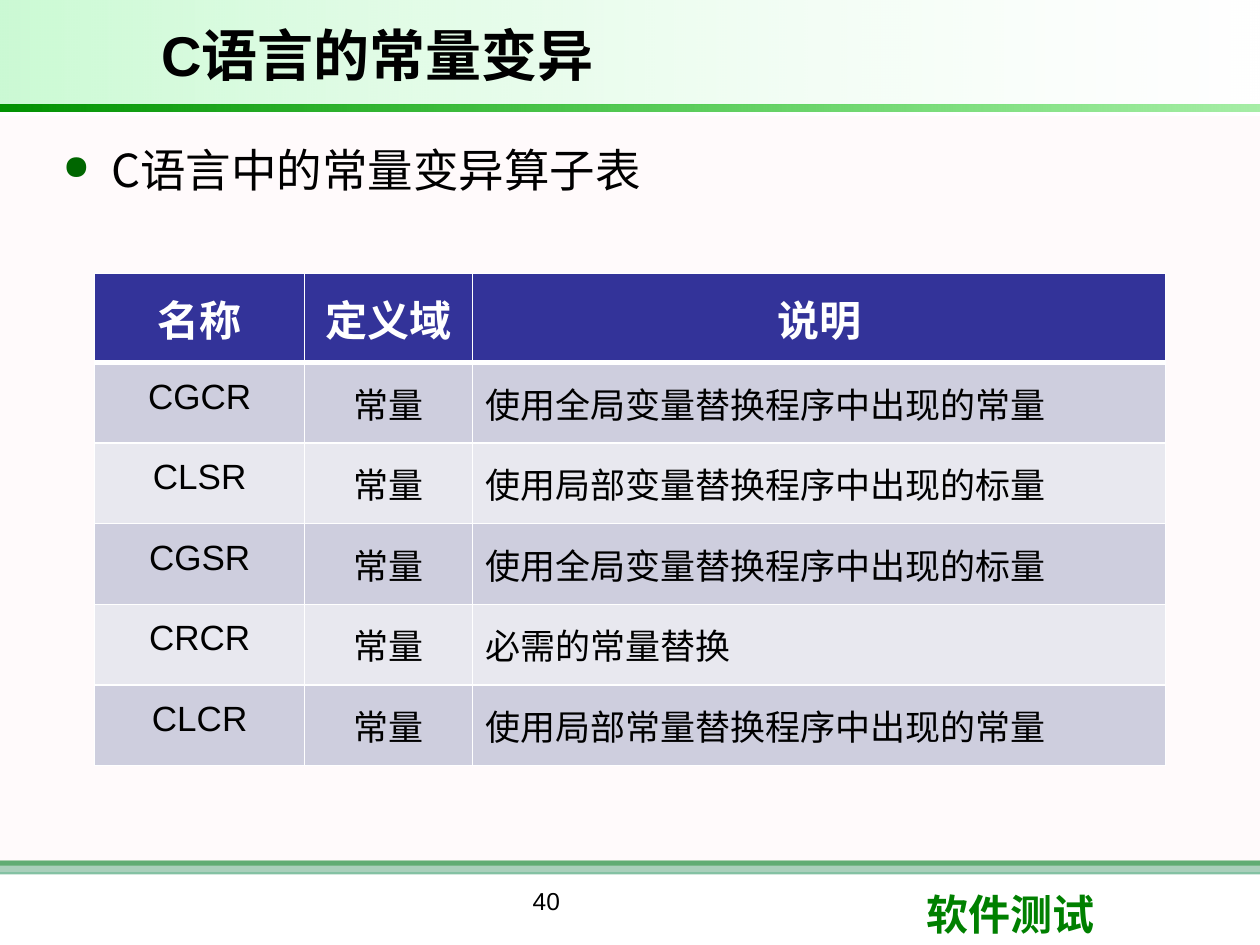
from dataclasses import dataclass

from lxml.etree import SubElement
from pptx import Presentation
from pptx.dml.color import RGBColor
from pptx.enum.shapes import MSO_SHAPE
from pptx.enum.text import MSO_ANCHOR, PP_ALIGN
from pptx.oxml.ns import qn
from pptx.util import Cm, Pt


@dataclass(frozen=True)
class Theme:
    latin: str = "Arial"
    cjk: str = "Noto Sans CJK SC"
    brand_font: str = "Calibri"
    black: str = "000000"
    white: str = "FFFFFF"
    pink: str = "FFF0F5"
    green: str = "008000"
    sea_green: str = "339966"
    bright_green: str = "09E733"
    rule_dark: str = "009200"
    rule_light: str = "00CC00"
    bullet: str = "006600"
    head_fill: str = "333399"
    bands: tuple = ("CECEDE", "E8E8EF")
    title_size: int = 32
    body_size: int = 26
    head_size: int = 24
    cell_size: int = 20
    number_size: int = 14


@dataclass(frozen=True)
class Box:
    """A region of the slide, in centimetres."""
    x: float
    y: float
    w: float
    h: float

    def inner(self, dx, dy, w, h):
        return Box(self.x + dx, self.y + dy, w, h)

    def emu(self):
        return Cm(self.x), Cm(self.y), Cm(self.w), Cm(self.h)


T = Theme()
HEADERS = ("名称", "定义域", "说明")
OPERATORS = (
    ("CGCR", "常量", "使用全局变量替换程序中出现的常量"),
    ("CLSR", "常量", "使用局部变量替换程序中出现的标量"),
    ("CGSR", "常量", "使用全局变量替换程序中出现的标量"),
    ("CRCR", "常量", "必需的常量替换"),
    ("CLCR", "常量", "使用局部常量替换程序中出现的常量"),
)


def set_alpha(color_parent, percent):
    for clr in color_parent.iter(qn("a:srgbClr")):
        SubElement(clr, qn("a:alpha"), val=str(percent * 1000))


def add_band(slide, box, *stops):
    """Rectangle with one (colour, opacity) stop, or a left-to-right gradient of two."""
    sp = slide.shapes.add_shape(MSO_SHAPE.RECTANGLE, *box.emu())
    sp.shadow.inherit = False
    sp.line.fill.background()
    if len(stops) == 1:
        sp.fill.solid()
        sp.fill.fore_color.rgb = RGBColor.from_string(stops[0][0])
        set_alpha(sp._element.spPr.find(qn("a:solidFill")), stops[0][1])
        return
    sp.fill.gradient()
    sp.fill.gradient_angle = 0
    for i, (stop, (color, opacity)) in enumerate(zip(sp.fill.gradient_stops, stops)):
        stop.position = i
        stop.color.rgb = RGBColor.from_string(color)
        set_alpha(stop._gs, opacity)


def write(tf, text, *, size, color=T.black, font=T.latin, bold=False,
          align=PP_ALIGN.LEFT, after=0, bullet=False):
    p = tf.paragraphs[0]
    if bullet:
        pPr = p._p.get_or_add_pPr()
        pPr.set("marL", str(Cm(1)))
        pPr.set("indent", str(-Cm(0.97)))
        SubElement(SubElement(pPr, qn("a:buClr")), qn("a:srgbClr"), val=T.bullet)
        SubElement(pPr, qn("a:buSzPct"), val="75000")
        SubElement(pPr, qn("a:buChar"), char="●")
    p.alignment = align
    p.space_after = Pt(after)
    r = p.add_run()
    r.text = text
    r.font.size = Pt(size)
    r.font.bold = bold
    r.font.name = font
    r.font.color.rgb = RGBColor.from_string(color)
    SubElement(r._r.get_or_add_rPr(), qn("a:ea"), typeface=T.cjk)


def add_text(slide, box, text, anchor=MSO_ANCHOR.TOP, **fmt):
    tf = slide.shapes.add_textbox(*box.emu()).text_frame
    tf.word_wrap = True
    tf.vertical_anchor = anchor
    write(tf, text, **fmt)


def add_borders(cell, **widths):
    tcPr = cell._tc.get_or_add_tcPr()
    for side in "LRTB":
        ln = SubElement(tcPr, qn(f"a:ln{side}"), w=str(Pt(widths.get(side, 1))))
        SubElement(SubElement(ln, qn("a:solidFill")), qn("a:srgbClr"), val=T.white)


def draw_backdrop(slide, box):
    add_band(slide, box, (T.pink, 30))


def draw_header(slide, box):
    add_band(slide, box.inner(0, 0, box.w, 2.11), (T.bright_green, 21), (T.white, 10))
    add_band(slide, box.inner(0, 2.11, box.w, 0.13), (T.rule_dark, 100), (T.rule_light, 35))
    add_text(slide, box.inner(3, 0.2, 17.7, 1.8), "C语言的常量变异",
             anchor=MSO_ANCHOR.MIDDLE, size=T.title_size, bold=True)


def draw_footer_rules(slide, box):
    add_band(slide, box.inner(0, 0, box.w, 0.1), (T.green, 100))
    add_band(slide, box.inner(0, 0, box.w, 0.28), (T.sea_green, 60))


def draw_footer_text(slide, box):
    add_text(slide, box.inner(6.99, 0.38, 8.05, 1.32), "40",
             size=T.number_size, align=PP_ALIGN.CENTER)
    add_text(slide, box.inner(18.42, 0.43, 6.02, 1.27), "软件测试",
             size=T.head_size, color=T.green, font=T.brand_font, bold=True)


def draw_body(slide, box):
    add_text(slide, box, "C语言中的常量变异算子表",
             size=T.body_size, font=T.cjk, after=6, bullet=True)


def draw_operator_table(slide, box):
    rows = (HEADERS, *OPERATORS)
    table = slide.shapes.add_table(len(rows), len(HEADERS), *box.emu()).table
    for col, width in zip(table.columns, (4.23, 3.39, 13.97)):
        col.width = Cm(width)
    head_height = 1.8
    for i, texts in enumerate(rows):
        is_head = i == 0
        table.rows[i].height = Cm(head_height if is_head
                                  else (box.h - head_height) / len(OPERATORS))
        for j, text in enumerate(texts):
            cell = table.cell(i, j)
            cell.margin_left = cell.margin_right = Cm(0.25)
            cell.margin_top = cell.margin_bottom = Cm(0.3)
            add_borders(cell, T=3 if i == 1 else 1, B=3 if is_head else 1)
            cell.fill.solid()
            cell.fill.fore_color.rgb = RGBColor.from_string(
                T.head_fill if is_head else T.bands[(i - 1) % 2])
            centred = is_head or j < 2
            write(cell.text_frame, text, bold=is_head, after=3,
                  size=T.head_size if is_head else T.cell_size,
                  color=T.white if is_head else T.black,
                  align=PP_ALIGN.CENTER if centred else PP_ALIGN.LEFT)


def main():
    prs = Presentation()
    prs.slide_width, prs.slide_height = Cm(25.4), Cm(19.05)
    slide = prs.slides.add_slide(prs.slide_layouts[6])
    footer = Box(0, 17.35, 25.4, 1.7)
    draw_footer_rules(slide, footer)
    draw_backdrop(slide, Box(0, 2.34, 25.4, 15.24))
    draw_header(slide, Box(0, 0, 25.4, 2.24))
    draw_body(slide, Box(0.99, 2.74, 23.77, 14.17))
    draw_footer_text(slide, footer)
    draw_operator_table(slide, Box(1.91, 5.51, 21.59, 9.92))
    prs.save("out.pptx")


if __name__ == "__main__":
    main()
